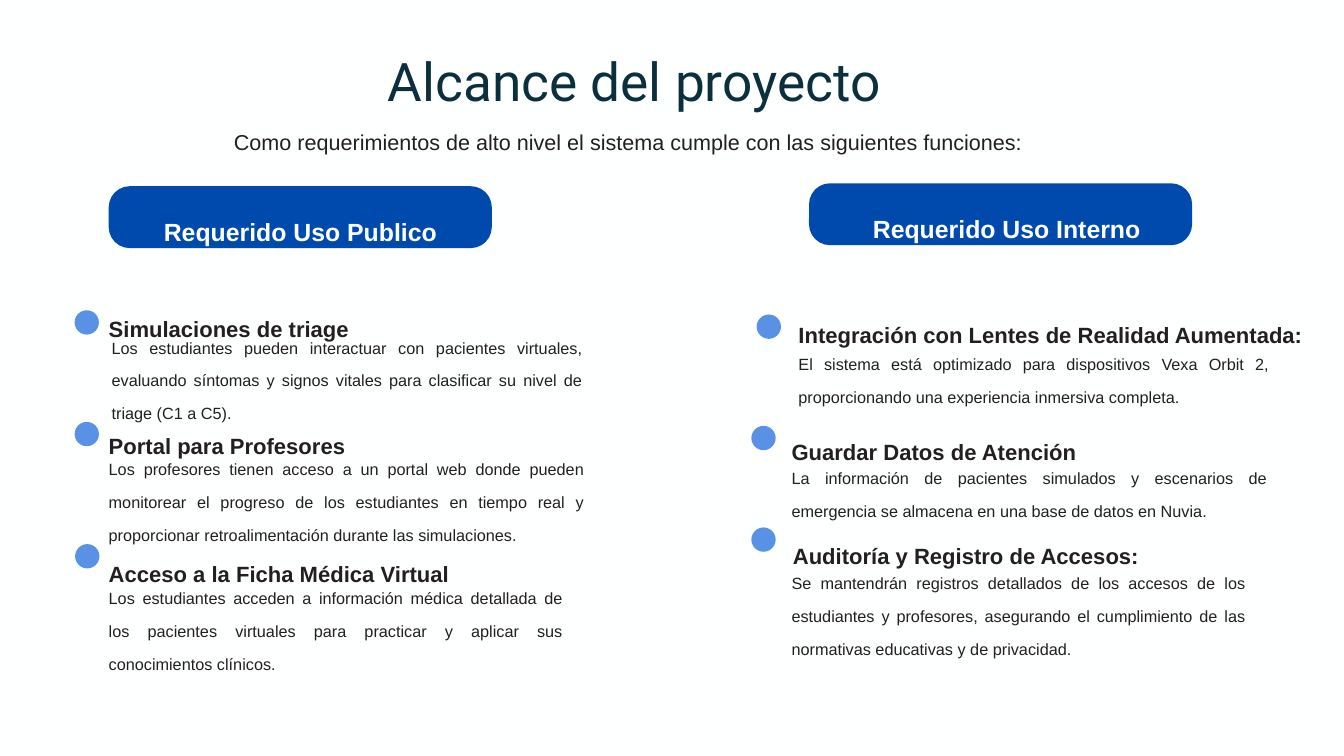
from pptx import Presentation
from pptx.dml.color import RGBColor
from pptx.enum.shapes import MSO_SHAPE as Shape
from pptx.enum.text import MSO_ANCHOR as Anchor, MSO_AUTO_SIZE as AutoSize, PP_ALIGN as Align
from pptx.util import Cm, Pt

PAPER = RGBColor(0xFE, 0xFF, 0xFF)
INK = RGBColor(0x23, 0x1F, 0x20)
TEAL = RGBColor(0x0B, 0x2F, 0x3D)
NAVY = RGBColor(0x00, 0x4A, 0xAD)
SKY = RGBColor(0x59, 0x92, 0xE4)

BANNERS = [
    ("Requerido Uso Publico", 4.11, 7.04, 1.85),
    ("Requerido Uso Interno", 30.58, 6.93, 2.18),
]

REQUIREMENTS = [
    ((2.82, 11.73),
     "Simulaciones de triage", (4.11, 11.25, 18.82),
     "Los estudiantes pueden interactuar con pacientes virtuales, evaluando síntomas "
     "y signos vitales para clasificar su nivel de triage (C1 a C5).",
     (4.22, 12.27, 17.78, 3.25)),
    ((2.82, 15.95),
     "Portal para Profesores", (4.11, 15.67, 18.82),
     "Los profesores tienen acceso a un portal web donde pueden monitorear el progreso "
     "de los estudiantes en tiempo real y proporcionar retroalimentación durante las "
     "simulaciones.",
     (4.11, 16.87, 17.96, 3.07)),
    ((2.84, 20.57),
     "Acceso a la Ficha Médica Virtual", (4.11, 20.5, 18.82),
     "Los estudiantes acceden a información médica detallada de los pacientes virtuales "
     "para practicar y aplicar sus conocimientos clínicos.",
     (4.11, 21.74, 17.15, 3.07)),
    ((28.6, 11.89),
     "Integración con Lentes de Realidad Aumentada:", (30.18, 11.46, 20.37),
     "El sistema está optimizado para dispositivos Vexa Orbit 2, proporcionando una "
     "experiencia inmersiva completa.",
     (30.18, 12.9, 17.78, 2.01)),
    ((28.4, 16.1),
     "Guardar Datos de Atención", (29.92, 15.88, 18.82),
     "La información de pacientes simulados y escenarios de emergencia se almacena en "
     "una base de datos en Nuvia.",
     (29.92, 17.22, 17.96, 2.01)),
    ((28.4, 19.94),
     "Auditoría y Registro de Accesos:", (29.97, 19.84, 18.82),
     "Se mantendrán registros detallados de los accesos de los estudiantes y profesores, "
     "asegurando el cumplimiento de las normativas educativas y de privacidad.",
     (29.92, 21.18, 17.15, 3.25)),
]


class ScopePage:
    body_font = "Arial"
    title_font = "Roboto"
    spacing = 1.68
    dot_size = 0.92

    def __init__(self, deck):
        self.page = deck.slides.add_slide(deck.slide_layouts[5])
        fill = self.page.background.fill
        fill.solid()
        fill.fore_color.rgb = PAPER

    def set_text(self, box, text, size, color, bold=False, align=Align.LEFT,
                 font=body_font, spacing=spacing, left=0, top=0):
        frame = box.text_frame
        frame.word_wrap = True
        frame.auto_size = AutoSize.NONE
        frame.vertical_anchor = Anchor.TOP
        frame.margin_left, frame.margin_top = Cm(left), Cm(top)
        frame.margin_right = frame.margin_bottom = 0
        para = frame.paragraphs[0]
        para.text = text
        para.alignment = align
        para.line_spacing = spacing
        para.font.name = font
        para.font.size = Pt(size)
        para.font.bold = bold
        para.font.color.rgb = color

    def title(self, text, left, top, width, height):
        box = self.page.shapes.title
        box.left, box.top, box.width, box.height = map(Cm, (left, top, width, height))
        self.set_text(box, text, 57, TEAL, font=self.title_font, spacing=0.9)

    def text(self, text, place, size, **style):
        box = self.page.shapes.add_textbox(*map(Cm, place))
        self.set_text(box, text, size, INK, **style)

    def shape(self, kind, color, *place):
        shape = self.page.shapes.add_shape(kind, *map(Cm, place))
        shape.shadow.inherit = False
        shape.fill.solid()
        shape.fill.fore_color.rgb = color
        shape.line.fill.background()
        return shape

    def banner(self, text, left, top, indent):
        pill = self.shape(Shape.ROUNDED_RECTANGLE, NAVY, left, top, 14.48, 2.34)
        pill.adjustments[0] = 0.34
        self.set_text(pill, text, 26.6, PAPER, bold=True, left=indent, top=0.14)

    def requirement(self, dot, heading, heading_place, detail, detail_place):
        self.shape(Shape.OVAL, SKY, *dot, self.dot_size, self.dot_size)
        self.text(heading, (*heading_place, 1.02), 23.6, bold=True)
        self.text(detail, detail_place, 17.4, align=Align.JUSTIFY)


def main():
    deck = Presentation()
    deck.slide_width, deck.slide_height = Cm(50.8), Cm(28.58)
    scope = ScopePage(deck)
    scope.title("Alcance del proyecto", 14.66, 2.11, 22.17, 1.96)
    scope.text(
        "Como requerimientos de alto nivel el sistema cumple con las siguientes funciones:",
        (8.84, 4.22, 37.59, 2.74), 23.1, align=Align.JUSTIFY)
    for banner in BANNERS:
        scope.banner(*banner)
    for requirement in REQUIREMENTS:
        scope.requirement(*requirement)
    deck.save("out.pptx")


if __name__ == "__main__":
    main()
